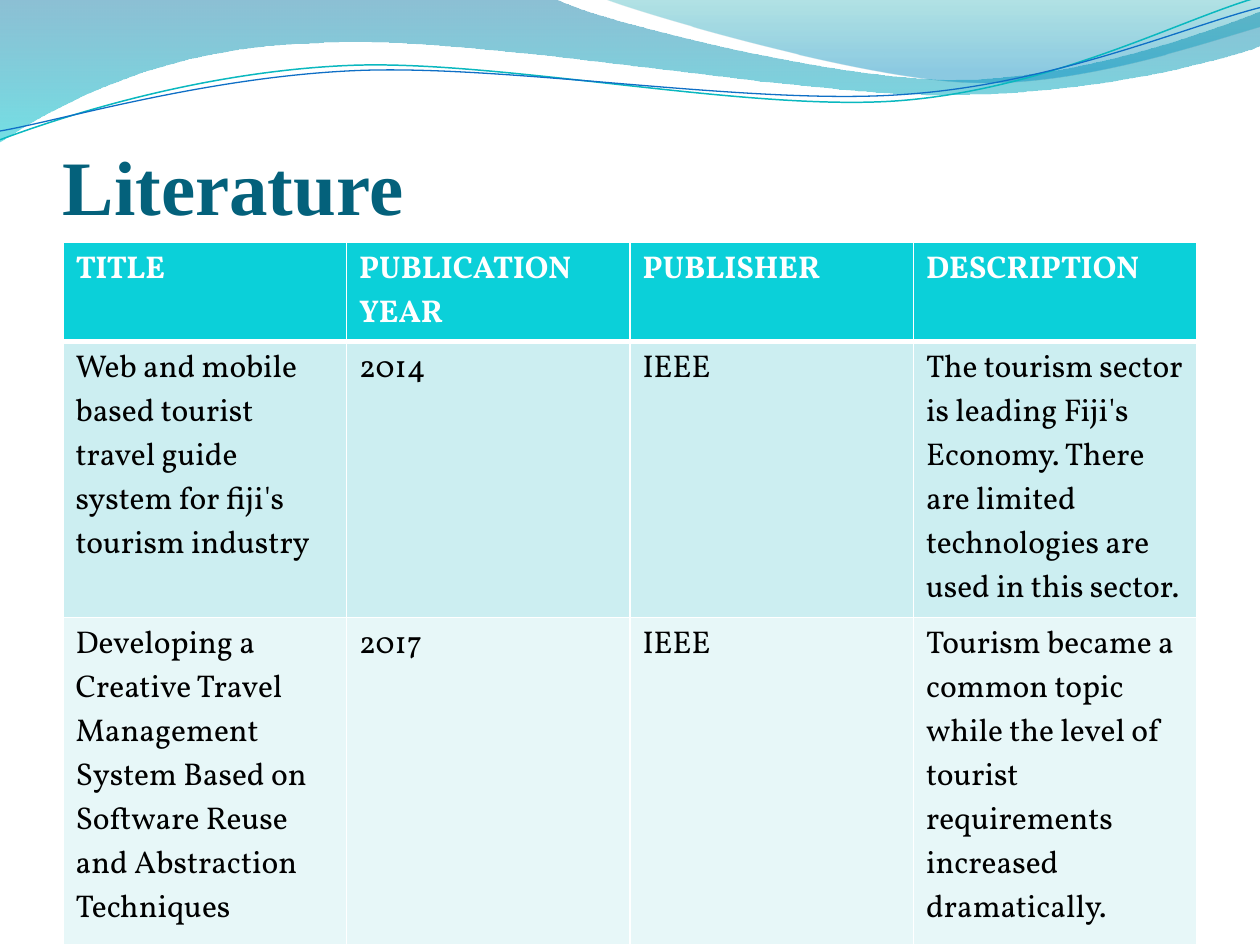
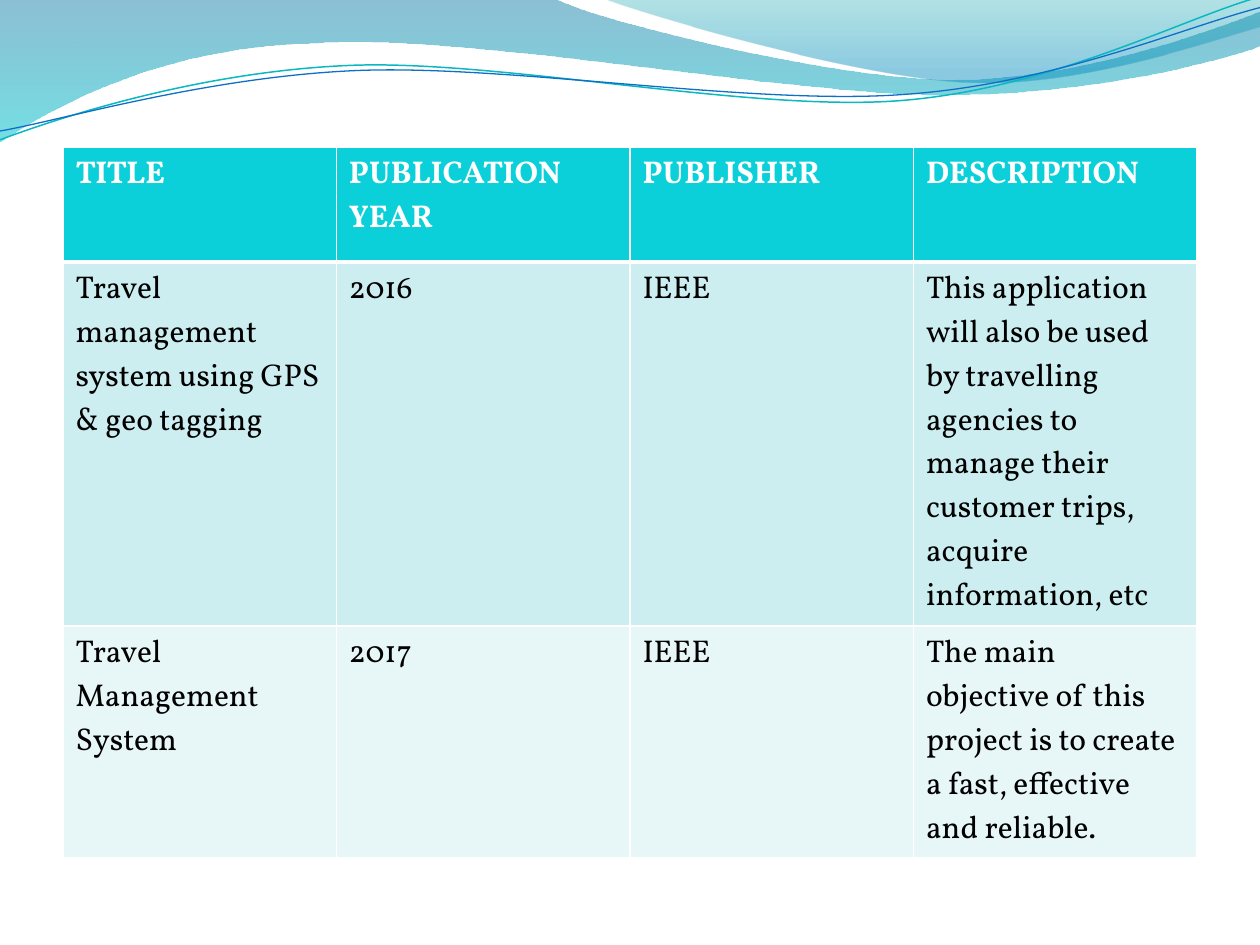
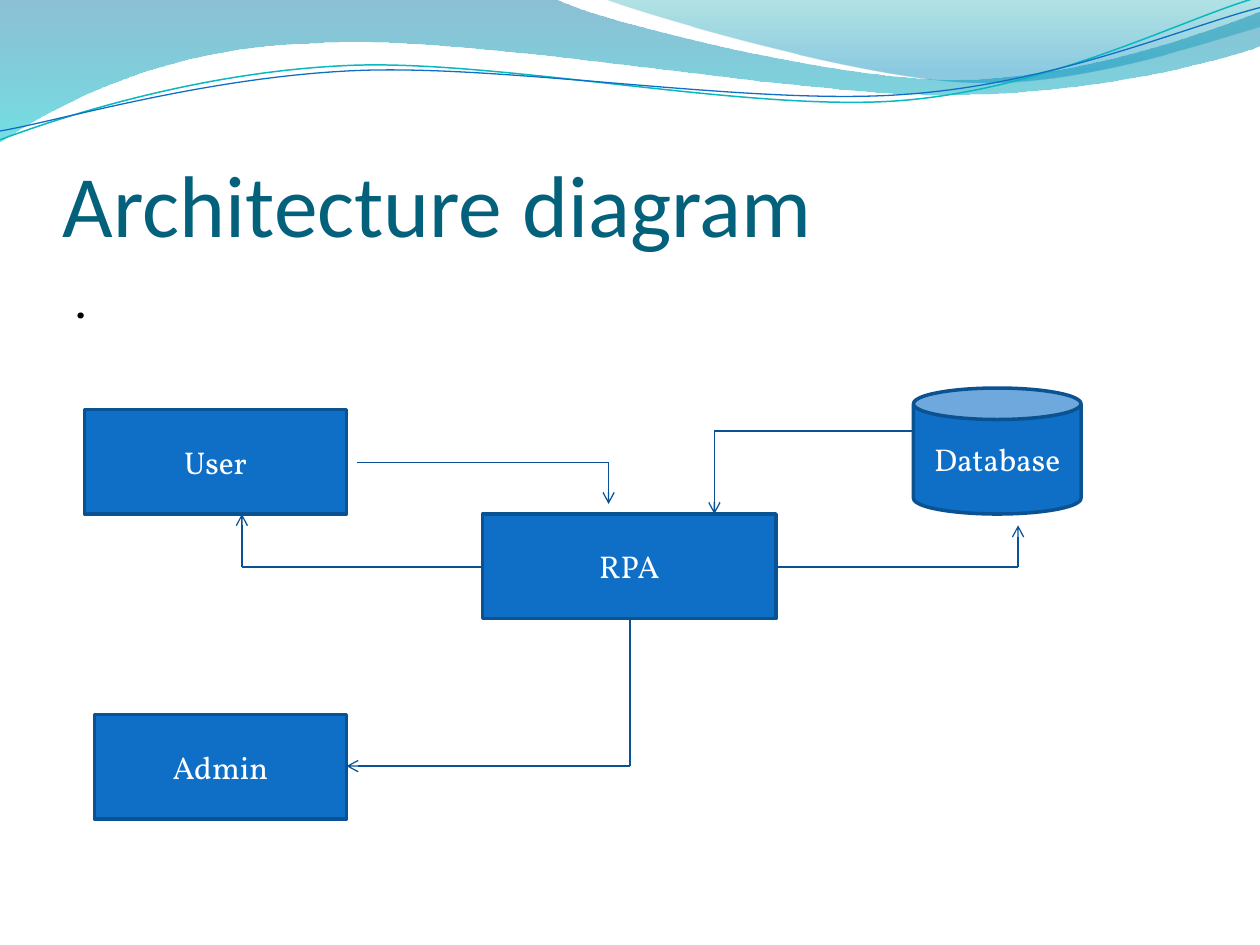
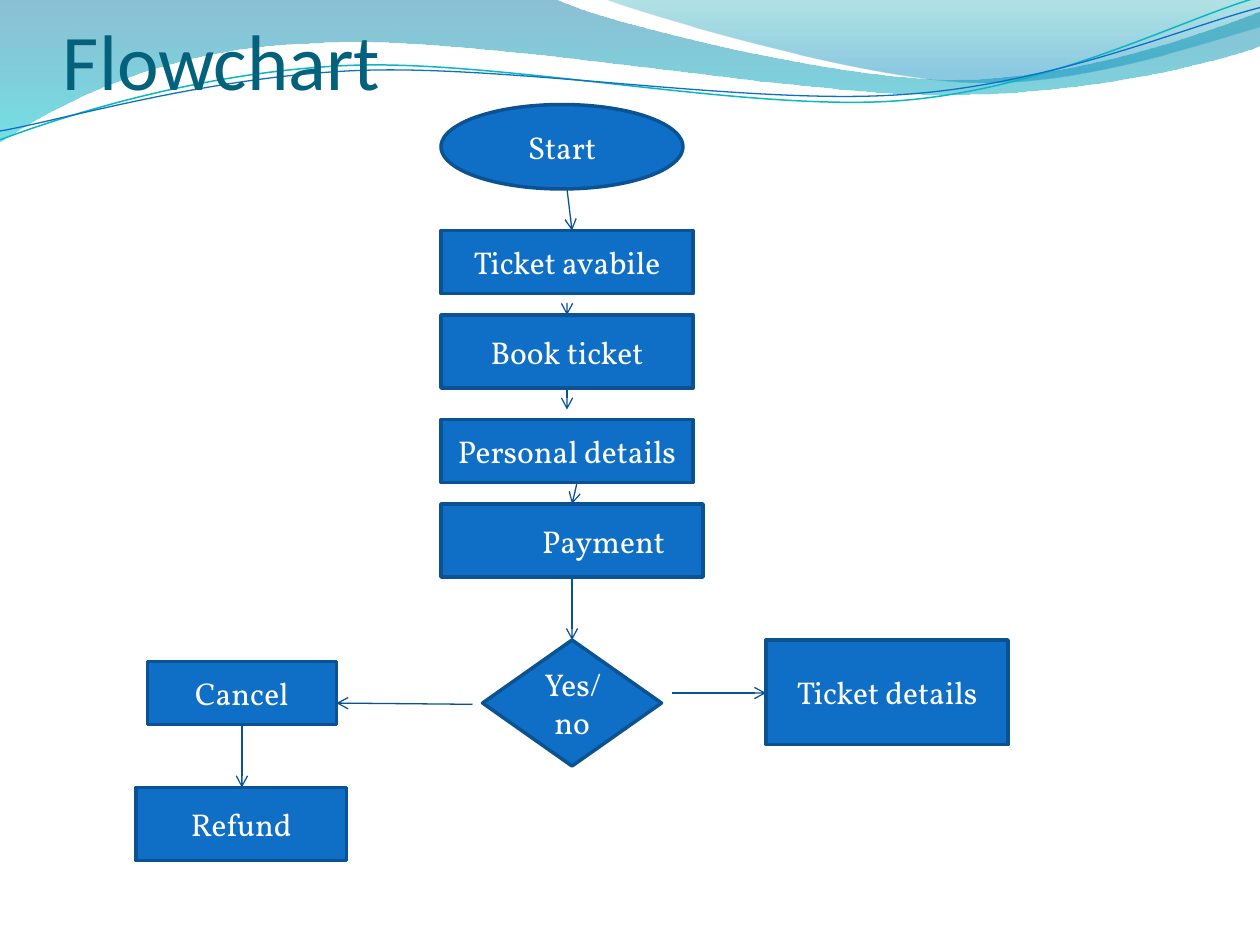
from math import cos, radians, sin

from lxml import etree
from pptx import Presentation
from pptx.dml.color import RGBColor
from pptx.enum.shapes import MSO_CONNECTOR, MSO_SHAPE
from pptx.enum.text import MSO_ANCHOR, PP_ALIGN
from pptx.oxml import parse_xml
from pptx.oxml.ns import qn
from pptx.util import Inches, Pt

RECT, CAN = MSO_SHAPE.RECTANGLE, MSO_SHAPE.CAN
OVAL, DIAMOND = MSO_SHAPE.OVAL, MSO_SHAPE.DIAMOND
STRAIGHT = MSO_CONNECTOR.STRAIGHT
MIDDLE, BOTTOM = MSO_ANCHOR.MIDDLE, MSO_ANCHOR.BOTTOM
CENTER = PP_ALIGN.CENTER
NS = 'xmlns:a="http://schemas.openxmlformats.org/drawingml/2006/main"'

HEX = {
    "title": "04617B", "text": "000000", "white": "FFFFFF",
    "box": "0F6FC6", "edge": "0B5292", "arrow": "095295",
    "teal": "0AB8BF", "head": "0BD0D9", "odd": "CCEEF1", "even": "E7F7F8",
}
RGB = {name: RGBColor.from_string(value) for name, value in HEX.items()}

# Text formats: every entry is an attribute of the font
SERIF, SANS, TIMES = "Vollkorn", "Calibri", "Times New Roman"
CELL = {"name": SERIF, "size": Pt(18), "bold": False}
HEAD = {**CELL, "bold": True}
BODY = {"name": SERIF, "size": Pt(26)}


def write(frame, text, style, color):
    """Fill a text frame with one paragraph and return it."""
    frame.word_wrap = True
    para = frame.paragraphs[0]
    run = para.add_run()
    run.text = text
    for key, value in style.items():
        setattr(run.font, key, value)
    run.font.color.rgb = RGB[color]
    return para


def link(slide, *points):
    """Join the points with straight lines; the last one has an arrowhead."""
    for start, end in zip(points, points[1:]):
        ends = [Inches(v) for v in start + end]
        line = slide.shapes.add_connector(STRAIGHT, *ends)
        line.line.color.rgb = RGB["arrow"]
        line.line.width = Pt(0.75)
        props = line._element.spPr
        etree.SubElement(props, qn("a:effectLst"))
    etree.SubElement(props.find(qn("a:ln")), qn("a:tailEnd"), type="arrow")


prs = Presentation()
prs.slide_width, prs.slide_height = Inches(10), Inches(7.5)
blank = prs.slide_layouts[6]
slides = [prs.slides.add_slide(blank) for _ in range(4)]

# Waves: frame, turn, start, then lines (one point) and curves (three points).
# Fills list stops as (position %, colour, opacity %); strokes (colour, width).
WAVES = [
    ((-0.01, -0.01, 10.02, 1.14), 0, (0, 0), [
        [(4.4, -0.01)],
        [(4.76, 0.17), (6.64, 0.63), (7.58, 0.63)],
        [(8.53, 0.63), (9.58, 0.26), (10, 0.09)],
        [(10.01, 0.36)],
        [(9.83, 0.44), (8.7, 0.76), (7.46, 0.75)],
        [(6.22, 0.75), (3.82, 0.28), (2.57, 0.34)],
        [(1.29, 0.36), (0.46, 0.83), (-0.01, 1.13)],
        [(0, 0)],
    ], [(0, "0074A1", 45), (100, "00C6CF", 55)], None),
    ((4.79, -0.01, 5.21, 0.7), 0, (4.79, -0.01), [
        [(5.09, 0.11), (6.82, 0.62), (7.69, 0.65)],
        [(8.56, 0.69), (9.61, 0.32), (10, 0.21)],
        [(10, 0)],
        [(4.79, -0.01)],
    ], [(0, "00A1A9", 30), (80, "008BBF", 45)], None),
    ((-0.02, 0.22, 10.02, 0.71), -2.7, (0, 1.11), [
        [(0.48, 0.93), (1.58, 0.57), (2.77, 0.52)],
        [(3.95, 0.47), (5.93, 0.89), (7.13, 0.8)],
        [(8.33, 0.71), (9.38, 0.15), (9.98, -0.02)],
    ], None, ("teal", 0.85)),
    ((-0.02, 0.3, 10.03, 0.58), -2.7, (0, 1.04), [
        [(0.47, 0.96), (1.64, 0.61), (2.83, 0.56)],
        [(4.03, 0.51), (5.97, 0.84), (7.17, 0.75)],
        [(8.36, 0.67), (9.41, 0.21), (10, 0.06)],
    ], None, ("box", 0.75)),
]
for (left, top, width, height), turn, start, parts, stops, stroke in WAVES:
    pen = slides[0].shapes.build_freeform(Inches(start[0]), Inches(start[1]))
    pen.add_line_segments([(Inches(x), Inches(y)) for x, y in sum(parts, [])],
                          close=False)
    wave = pen.convert_to_shape()
    wave.left, wave.top = Inches(left), Inches(top)
    wave.width, wave.height = Inches(width), Inches(height)
    wave.rotation = turn

    # Curves, in the coordinates of the frame before it is turned
    angle, steps = radians(-turn), ""
    for place, part in enumerate([[start], *parts]):
        marks = ""
        for x, y in part:
            dx, dy = x - left - width / 2, y - top - height / 2
            px = width / 2 + dx * cos(angle) - dy * sin(angle)
            py = height / 2 + dx * sin(angle) + dy * cos(angle)
            marks += f'<a:pt x="{Inches(px)}" y="{Inches(py)}"/>'
        tag = "moveTo" if place == 0 else "lnTo"
        tag = "cubicBezTo" if len(part) == 3 else tag
        steps += f"<a:{tag}>{marks}</a:{tag}>"
    if stops:
        steps += "<a:close/>"
    props = wave._element.spPr
    track = next(props.iter(qn("a:path")))
    track.getparent().replace(track, parse_xml(
        f'<a:path {NS} w="{Inches(width)}" h="{Inches(height)}">'
        f"{steps}</a:path>"))

    wave.shadow.inherit = False
    wave.fill.background()
    if stops:
        wave.line.fill.background()
        marks = "".join(
            f'<a:gs pos="{pos * 1000}"><a:srgbClr val="{color}">'
            f'<a:alpha val="{alpha * 1000}"/></a:srgbClr></a:gs>'
            for pos, color, alpha in stops)
        props.replace(props.find(qn("a:noFill")), parse_xml(
            f'<a:gradFill {NS} rotWithShape="1"><a:gsLst>{marks}</a:gsLst>'
            '<a:lin ang="5400000" scaled="0"/></a:gradFill>'))
    else:
        wave.line.color.rgb = RGB[stroke[0]]
        wave.line.width = Pt(stroke[1])
    # The layout carries the wave for all slides
    blank.shapes._spTree.append(wave._element)

# Titles: slide, text, top, height, format
TITLES = [
    (0, "Literature", 0.77, 1.06,
     {"name": TIMES, "size": Pt(44), "bold": True}),
    (2, "Architecture diagram", 0.77, 1.25, {"name": SANS, "size": Pt(50)}),
    (3, "Flowchart", 0.17, 0.67, {"name": SANS, "size": Pt(45)}),
]
for index, text, top, height, style in TITLES:
    frame = slides[index].shapes.add_textbox(
        Inches(0.5), Inches(top), Inches(9), Inches(height)).text_frame
    layout = {"margin_left": 0, "margin_top": Inches(0.05), "margin_right": 0,
              "margin_bottom": 0, "vertical_anchor": BOTTOM}
    for key, value in layout.items():
        setattr(frame, key, value)
    write(frame, text, style, "title")

# Literature tables: slide, top, column widths, row heights, rows
HEADS = ("TITLE", "PUBLICATION YEAR", "PUBLISHER", "DESCRIPTION")
TABLES = [
    (0, 1.92, (2.25, 2.25, 2.25, 2.25), (0.79, 2.19, 2.6), [
        ("Web and mobile based tourist travel guide system for fiji's "
         "tourism industry", "2014", "IEEE",
         "The tourism sector is leading Fiji's Economy. There are limited "
         "technologies are used in this sector."),
        ("Developing a Creative Travel Management System Based on Software "
         "Reuse and Abstraction Techniques", "2017", "IEEE",
         "Tourism became a common topic while the level of tourist "
         "requirements increased dramatically."),
    ]),
    (1, 1.17, (2.17, 2.33, 2.25, 2.25), (0.91, 2.89, 1.84), [
        ("Travel management system using GPS & geo tagging", "2016", "IEEE",
         "This application will also be used by travelling agencies to "
         "manage their customer trips, acquire information, etc"),
        ("Travel Management System", "2017", "IEEE",
         "The main objective of this project is to create a fast, effective "
         "and reliable."),
    ]),
]
ROWS = [("head", HEAD, "white"), ("odd", CELL, "text"), ("even", CELL, "text")]
for index, top, widths, heights, rows in TABLES:
    table = slides[index].shapes.add_table(
        3, 4, Inches(0.5), Inches(top), Inches(9), Inches(sum(heights))).table
    for col, width in zip(table.columns, widths):
        col.width = Inches(width)
    for row, size in zip(table.rows, heights):
        row.height = Inches(size)
    for r, (texts, look) in enumerate(zip([HEADS, *rows], ROWS)):
        fill, style, color = look
        for c, text in enumerate(texts):
            cell = table.cell(r, c)
            write(cell.text_frame, text, style, color)
            cell.fill.solid()
            cell.fill.fore_color.rgb = RGB[fill]
            props = cell._tc.get_or_add_tcPr()
            for place, side in enumerate("LRTB"):
                thick = (r, side) in ((0, "B"), (1, "T"))
                props.insert(place, parse_xml(
                    f'<a:ln{side} {NS} w="{Pt(3 if thick else 1)}">'
                    f'<a:solidFill><a:srgbClr val="{HEX["white"]}"/>'
                    f'</a:solidFill></a:ln{side}>'))

# Architecture: the body text
body = slides[2].shapes.add_textbox(
    Inches(0.5), Inches(2.12), Inches(9), Inches(4.8))
para = write(body.text_frame, ".", BODY, "text")
para.space_before = Pt(5.2)
for key, size in {"marL": 0.3, "indent": -0.3}.items():
    para._p.get_or_add_pPr().set(key, str(Inches(size)))

# Boxes of both diagrams: text, shape, left, top, width, height
BOXES = {
    2: [
        ("User", RECT, 0.67, 3.25, 2.08, 0.83),
        ("RPA", RECT, 3.83, 4.08, 2.33, 0.83),
        ("Database", CAN, 7.25, 3.08, 1.33, 1),
        ("Admin", RECT, 0.75, 5.67, 2, 0.83),
    ],
    3: [
        ("Start", OVAL, 3.5, 0.83, 1.92, 0.67),
        ("Ticket avabile", RECT, 3.5, 1.83, 2, 0.5),
        ("Book ticket", RECT, 3.5, 2.5, 2, 0.58),
        ("Personal details", RECT, 3.5, 3.33, 2, 0.5),
        ("Payment", RECT, 3.5, 4, 2.08, 0.58),
        ("Yes/no", DIAMOND, 3.83, 5.08, 1.42, 1),
        ("Cancel", RECT, 1.17, 5.25, 1.5, 0.5),
        ("Refund", RECT, 1.08, 6.25, 1.67, 0.58),
        ("Ticket details", RECT, 6.08, 5.08, 1.92, 0.83),
    ],
}
for index, boxes in BOXES.items():
    for text, kind, *place in boxes:
        box = slides[index].shapes.add_shape(kind, *map(Inches, place))
        box.shadow.inherit = False
        box.fill.solid()
        box.fill.fore_color.rgb = RGB["box"]
        box.line.color.rgb = RGB["edge"]
        box.line.width = Pt(2)
        box.text_frame.vertical_anchor = MIDDLE
        para = write(box.text_frame, text, CELL, "white")
        para.alignment = CENTER
        if text == "Payment":
            para.level = 1

# Arrows of both diagrams, each a chain of points
LINKS = {
    2: [
        [(2.83, 3.67), (4.83, 3.67), (4.83, 4)],
        [(3.83, 4.5), (1.92, 4.5), (1.92, 4.08)],
        [(5, 4.92), (5, 6.08), (2.75, 6.08)],
        [(6.17, 4.5), (8.08, 4.5), (8.08, 4.17)],
        [(7.25, 3.42), (5.67, 3.42), (5.67, 4.08)],
    ],
    3: [
        [(4.5, 1.5), (4.54, 1.83)],
        [(4.54, 4.58), (4.54, 5.08)],
        [(3.75, 5.59), (2.67, 5.58)],
        [(1.92, 5.75), (1.92, 6.25)],
        [(5.33, 5.5), (6.08, 5.5)],
        [(4.5, 2.42), (4.5, 2.5)],
        [(4.5, 3.08), (4.5, 3.25)],
        [(4.58, 3.83), (4.54, 4)],
    ],
}
for index, chains in LINKS.items():
    for chain in chains:
        link(slides[index], *chain)

prs.save("out.pptx")
